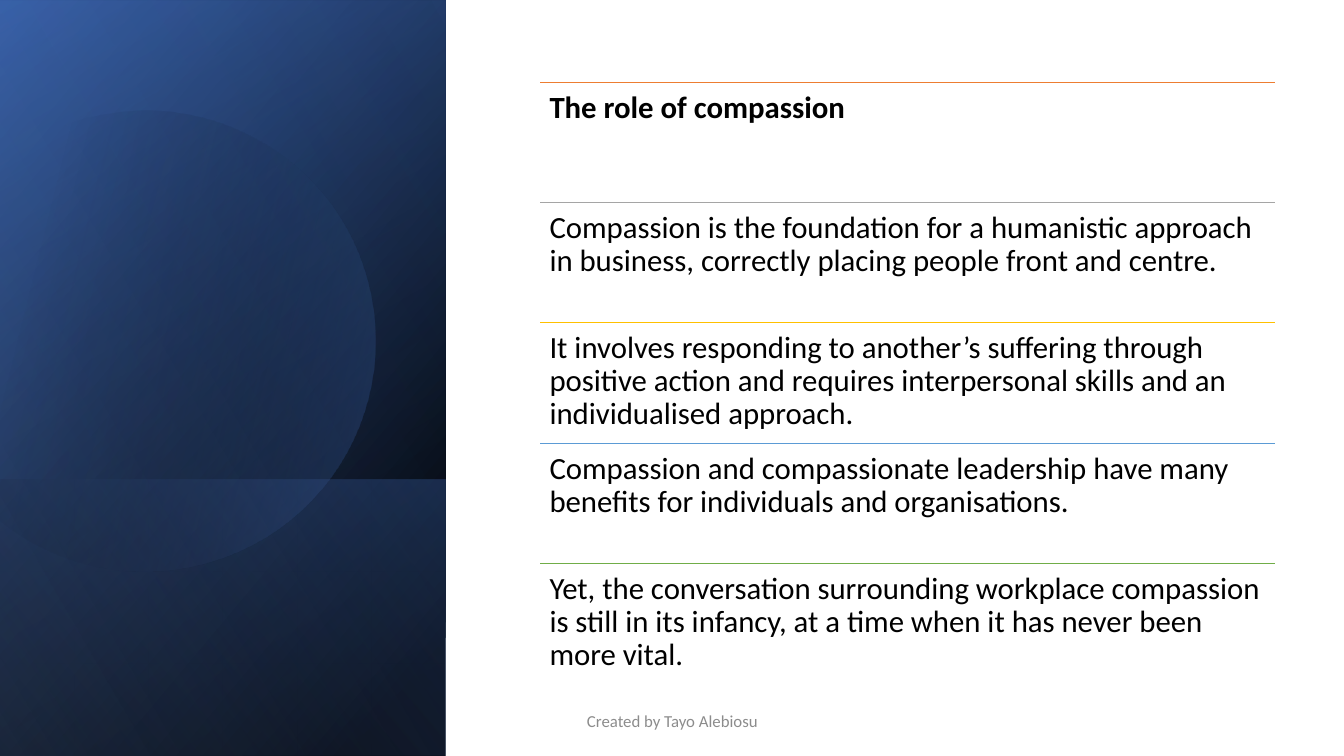
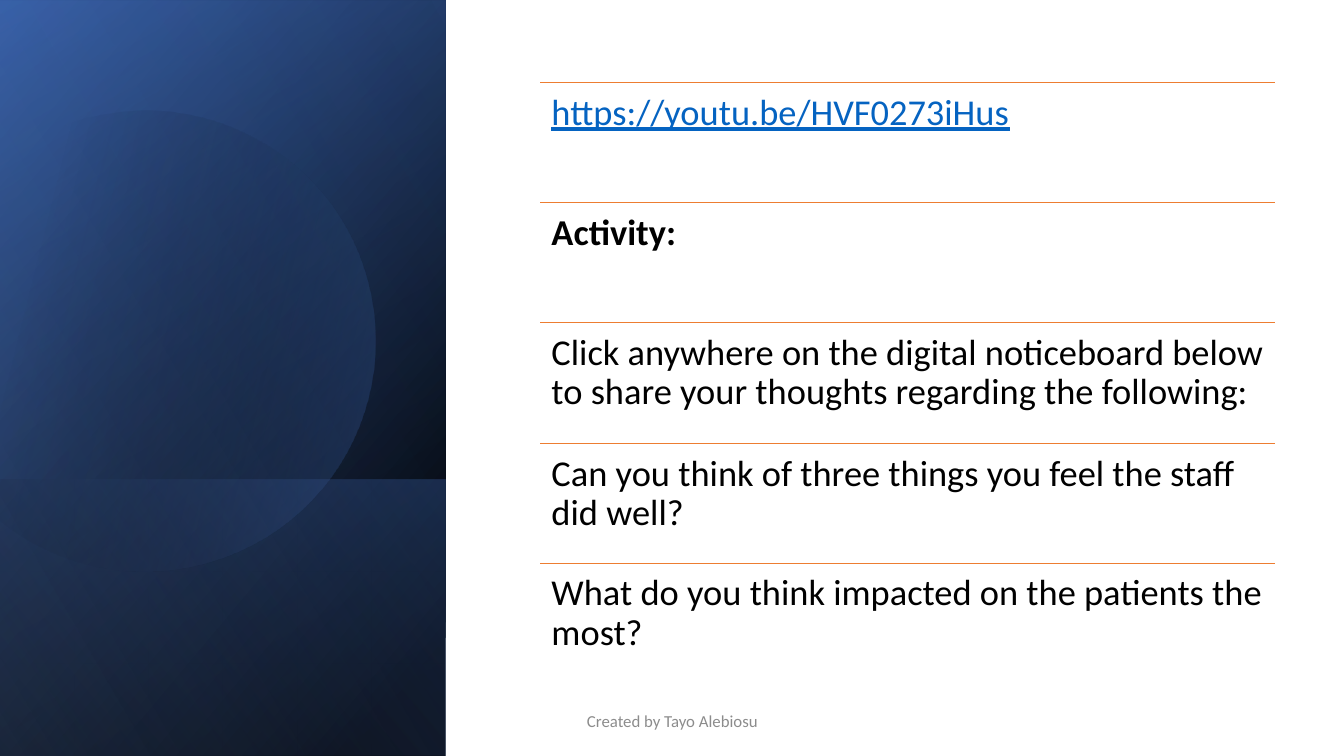
"""Build two slides on compassion with a shared gradient panel, ruled rows and a footer."""
import dataclasses
import math
import typing

import lxml.etree
import pptx
import pptx.dml.color
import pptx.enum.shapes
import pptx.enum.text
import pptx.oxml.ns
import pptx.util

EMU_PER_PX = 9144
FONT = "Calibri"
COLORS = {
    "black": "000000",
    "navy": "2F5597",
    "blue": "4472C4",
    "pale_blue": "8FAADC",
    "orange": "ED7D31",
    "gray": "A5A5A5",
    "gold": "FFC000",
    "sky": "5B9BD5",
    "green": "70AD47",
    "link": "0563C1",
    "footer": "8C8C8C",
}
SLIDE_WIDTH, SLIDE_HEIGHT = 1333, 750
ROWS_LEFT, ROWS_TOP, ROWS_WIDTH, ROWS_HEIGHT = 536, 82, 729, 597
FOOTER_TEXT = "Created by Tayo Alebiosu"

Point = tuple[float, float]


class Stop(typing.NamedTuple):
    position: int
    color: str
    opacity: int = 100


@dataclasses.dataclass(frozen=True)
class Gradient:
    angle: int
    stops: tuple[Stop, ...]


@dataclasses.dataclass(frozen=True)
class PanelLayer:
    left: int
    top: int
    width: int
    height: int
    gradient: Gradient


@dataclasses.dataclass(frozen=True)
class Row:
    text: str
    line: str = "orange"
    color: str = "black"
    bold: bool = False
    underline: bool = False


@dataclasses.dataclass(frozen=True)
class Page:
    size: int
    inset: int
    rows: tuple[Row, ...]


LAYERS_BELOW_DISC = (
    PanelLayer(-154, 154, 750, 442, Gradient(50, (Stop(8, "black"), Stop(100, "navy")))),
    PanelLayer(-154, 155, 750, 442, Gradient(30, (Stop(0, "black", 0), Stop(99, "blue", 46)))),
    PanelLayer(84, 392, 274, 442, Gradient(130, (Stop(2, "blue", 29), Stop(100, "black", 30)))),
)
LAYER_ABOVE_DISC = PanelLayer(
    -154, 154, 750, 442, Gradient(120, (Stop(0, "black", 0), Stop(99, "pale_blue", 11)))
)
DISC_GRADIENT = Gradient(30, (Stop(29, "black", 0), Stop(100, "blue", 43)))
DISC_ROTATION = -16.1
DISC_CENTER = (158, 334)
DISC_START = (149, 110)
DISC_SEGMENTS = (
    ((246, 112), (335, 177), (363, 275)),
    ((398, 397), (328, 523), (207, 558)),
    ((131, 580), (53, 561), (-3, 514)),
    ((-15, 503),),
    ((-15, 175),),
    ((0, 161),),
    ((23, 142), (50, 128), (80, 119)),
    ((103, 113), (126, 110), (149, 110)),
)
CURVE_STEPS = 24

PAGES = (
    Page(22, 9, (
        Row("The role of compassion", bold=True),
        Row("Compassion is the foundation for a humanistic approach in business, "
            "correctly placing people front and centre.", "gray"),
        Row("It involves responding to another’s suffering through positive action "
            "and requires interpersonal skills and an individualised approach.", "gold"),
        Row("Compassion and compassionate leadership have many benefits for "
            "individuals and organisations.", "sky"),
        Row("Yet, the conversation surrounding workplace compassion is still in its "
            "infancy, at a time when it has never been more vital.", "green"),
    )),
    Page(26, 11, (
        Row("https://youtu.be/HVF0273iHus", color="link", underline=True),
        Row("Activity:", bold=True),
        Row("Click anywhere on the digital noticeboard below to share your thoughts "
            "regarding the following:"),
        Row("Can you think of three things you feel the staff did well?"),
        Row("What do you think impacted on the patients the most?"),
    )),
)


def px(value: float) -> pptx.util.Emu:
    return pptx.util.Emu(round(value * EMU_PER_PX))


def rgb(name: str) -> pptx.dml.color.RGBColor:
    return pptx.dml.color.RGBColor.from_string(COLORS[name])


def add_element(parent, tag: str, **attributes):
    values = {key: str(value) for key, value in attributes.items()}
    return lxml.etree.SubElement(parent, pptx.oxml.ns.qn(tag), values)


def paint_gradient(shape, gradient: Gradient) -> None:
    shape.shadow.inherit = False
    shape.line.fill.background()
    shape.fill.background()
    properties = shape._element.spPr
    empty_fill = properties.find(pptx.oxml.ns.qn("a:noFill"))
    fill = lxml.etree.Element(pptx.oxml.ns.qn("a:gradFill"))
    stop_list = add_element(fill, "a:gsLst")
    for stop in gradient.stops:
        mark = add_element(stop_list, "a:gs", pos=stop.position * 1000)
        color = add_element(mark, "a:srgbClr", val=COLORS[stop.color])
        if stop.opacity < 100:
            add_element(color, "a:alpha", val=stop.opacity * 1000)
    add_element(fill, "a:lin", ang=gradient.angle * 60000, scaled=0)
    properties.replace(empty_fill, fill)


def add_layer(slide, layer: PanelLayer) -> None:
    shape = slide.shapes.add_shape(
        pptx.enum.shapes.MSO_SHAPE.RECTANGLE,
        px(layer.left), px(layer.top), px(layer.width), px(layer.height),
    )
    shape.rotation = 90
    shape._element.spPr.find(pptx.oxml.ns.qn("a:xfrm")).set("flipH", "1")
    paint_gradient(shape, layer.gradient)


def curve_point(controls: tuple[Point, ...], t: float) -> Point:
    weights = ((1 - t) ** 3, 3 * t * (1 - t) ** 2, 3 * t * t * (1 - t), t ** 3)
    x, y = (sum(w * c[axis] for w, c in zip(weights, controls)) for axis in (0, 1))
    return x, y


def disc_outline() -> list[Point]:
    points: list[Point] = [DISC_START]
    for segment in DISC_SEGMENTS:
        if len(segment) == 1:
            points.append(segment[0])
        else:
            controls = (points[-1], *segment)
            points += [curve_point(controls, step / CURVE_STEPS)
                       for step in range(1, CURVE_STEPS + 1)]
    return points


def turn(point: Point, degrees: float) -> Point:
    angle = math.radians(degrees)
    dx, dy = point[0] - DISC_CENTER[0], point[1] - DISC_CENTER[1]
    return (
        px(DISC_CENTER[0] + dx * math.cos(angle) - dy * math.sin(angle)),
        px(DISC_CENTER[1] + dx * math.sin(angle) + dy * math.cos(angle)),
    )


def add_disc(slide) -> None:
    start, *others = [turn(point, -DISC_ROTATION) for point in disc_outline()]
    builder = slide.shapes.build_freeform(*start)
    builder.add_line_segments(others, close=True)
    disc = builder.convert_to_shape()
    disc.rotation = DISC_ROTATION
    paint_gradient(disc, DISC_GRADIENT)


def add_panel(slide) -> None:
    for layer in LAYERS_BELOW_DISC:
        add_layer(slide, layer)
    add_disc(slide)
    add_layer(slide, LAYER_ABOVE_DISC)


def add_text(slide, left: int, top: int, width: int, height: int,
             text: str, size: int, color: str):
    box = slide.shapes.add_textbox(px(left), px(top), px(width), px(height))
    box.text_frame.word_wrap = True
    para = box.text_frame.paragraphs[0]
    span = para.add_run()
    span.text = text
    span.font.name = FONT
    span.font.size = pptx.util.Pt(size)
    span.font.color.rgb = rgb(color)
    return box.text_frame, para, span


def add_row(slide, page: Page, row: Row, top: int, height: int) -> None:
    rule = slide.shapes.add_connector(
        pptx.enum.shapes.MSO_CONNECTOR.STRAIGHT,
        px(ROWS_LEFT), px(top), px(ROWS_LEFT + ROWS_WIDTH), px(top),
    )
    rule.line.color.rgb = rgb(row.line)
    rule.line.width = pptx.util.Pt(0.5)
    add_element(rule._element.spPr, "a:effectLst")
    frame, para, span = add_text(
        slide, ROWS_LEFT, top, ROWS_WIDTH, height, row.text, page.size, row.color
    )
    frame.margin_left = frame.margin_right = px(page.inset)
    frame.margin_top = frame.margin_bottom = px(page.inset)
    para.line_spacing = 0.9
    span.font.bold = row.bold
    span.font.underline = row.underline


def add_footer(slide) -> None:
    frame, para, _ = add_text(slide, 442, 695, 450, 40, FOOTER_TEXT, 12, "footer")
    frame.vertical_anchor = pptx.enum.text.MSO_ANCHOR.MIDDLE
    para.alignment = pptx.enum.text.PP_ALIGN.CENTER


def add_page(deck, page: Page) -> None:
    slide = deck.slides.add_slide(deck.slide_layouts[6])
    add_panel(slide)
    pitch = ROWS_HEIGHT / len(page.rows)
    for index, row in enumerate(page.rows):
        add_row(slide, page, row, ROWS_TOP + int(index * pitch), int(pitch))
    add_footer(slide)


def main() -> None:
    deck = pptx.Presentation()
    deck.slide_width, deck.slide_height = px(SLIDE_WIDTH), px(SLIDE_HEIGHT)
    for page in PAGES:
        add_page(deck, page)
    deck.save("out.pptx")


if __name__ == "__main__":
    main()
